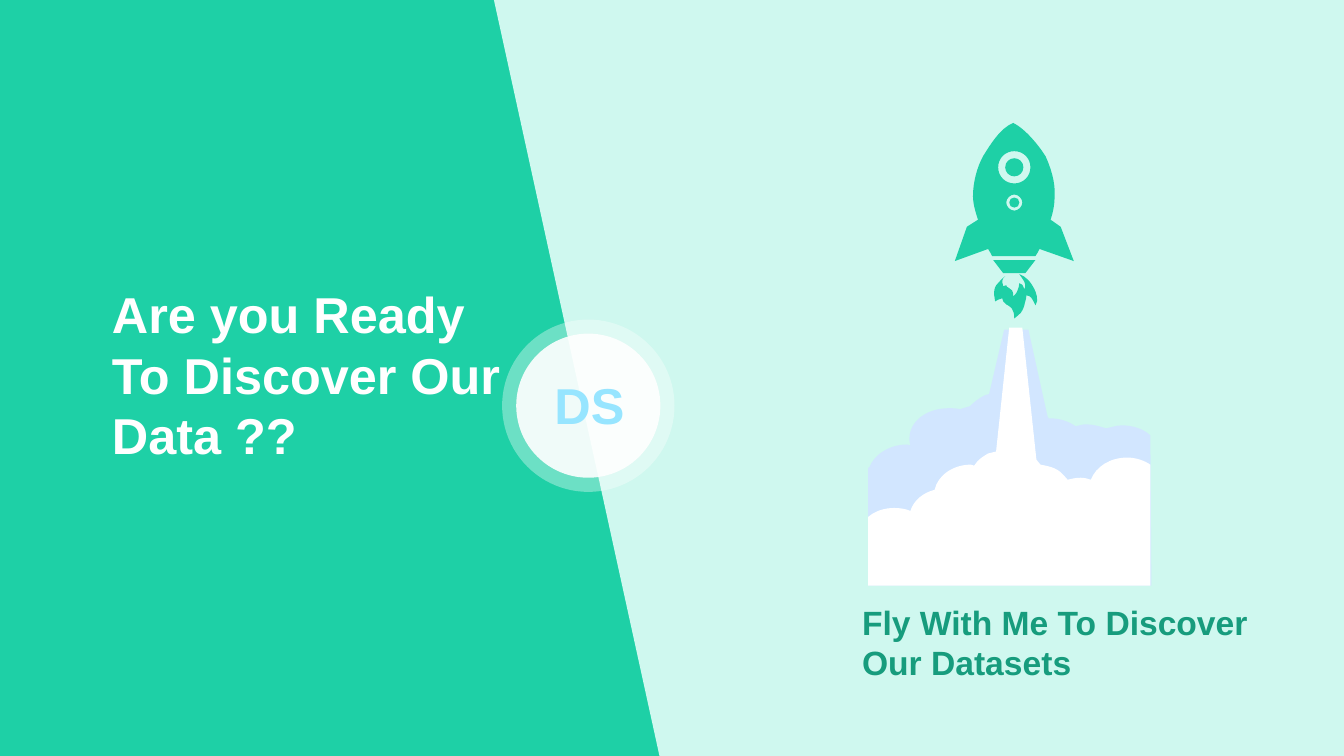
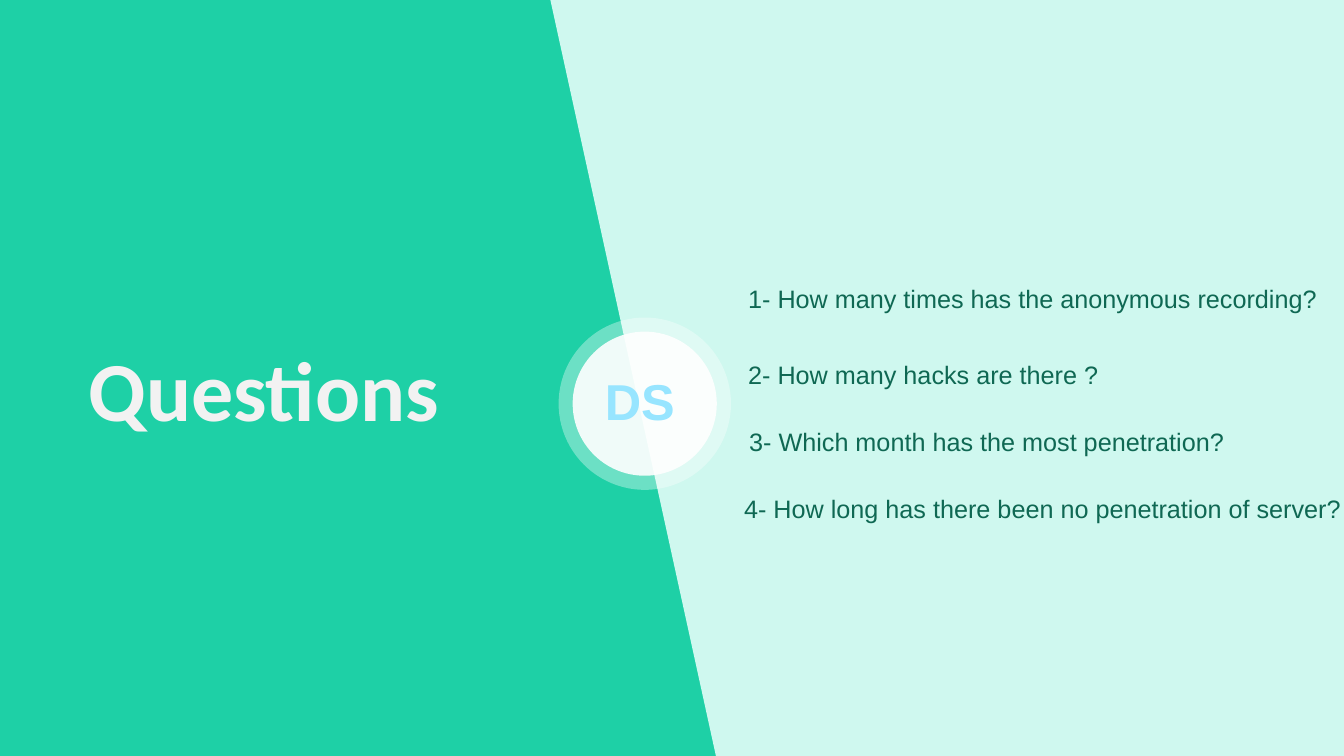
from lxml import etree
from pptx import Presentation
from pptx.dml.color import RGBColor
from pptx.enum import shapes, text
from pptx.oxml import ns
from pptx.util import Inches, Pt

GREEN = RGBColor(0x1E, 0xD0, 0xA6)
MINT = RGBColor(0xCF, 0xF8, 0xEF)
WHITE = RGBColor(0xFF, 0xFF, 0xFF)
OFF_WHITE = RGBColor(0xF2, 0xF2, 0xF2)
SKY = RGBColor(0x97, 0xE5, 0xFF)
SMOKE = RGBColor(0xD2, 0xE6, 0xFF)
TEAL = RGBColor(0x17, 0x9C, 0x7D)
DARK_TEAL = RGBColor(0x0F, 0x68, 0x53)

LEFT, CENTER = text.PP_ALIGN.LEFT, text.PP_ALIGN.CENTER
OVAL = shapes.MSO_SHAPE.OVAL
HUNDREDTH = Inches(0.01)
ARC = 0.55

BACK_CLOUD = [
    (135, 2), (159, 2), (178, 88), (179, 90), (180, 90),
    (190, 90, 199, 93, 206, 98), (209, 97, 213, 96, 216, 96),
    (223, 96, 230, 98, 236, 100), (241, 99, 246, 97, 252, 97),
    (263, 97, 274, 101, 280, 107), (281, 256), (0, 256), (0, 139), (1, 139),
    (6, 126, 21, 116, 39, 116), (40, 116, 41, 116, 42, 117),
    (41, 115, 41, 112, 41, 110), (41, 93, 58, 80, 80, 80),
    (84, 80, 88, 80, 91, 81), (101, 78), (105, 74, 110, 70, 116, 67), (120, 66),
]
FRONT_CLOUD = [
    (140, 0), (153, 0), (167, 131), (171, 136),
    (188, 139, 190, 142, 198, 151), (202, 150, 206, 149, 211, 149),
    (215, 149, 218, 150, 221, 151), (226, 138, 240, 129, 257, 129),
    (266, 129, 274, 132, 280, 136), (280, 256), (0, 256), (0, 188),
    (7, 182, 16, 179, 26, 179), (32, 179, 38, 180, 42, 182),
    (45, 172, 54, 164, 66, 161), (69, 147, 84, 136, 102, 136),
    (105, 137), (106, 136), (109, 131, 114, 128, 119, 125), (127, 123),
]
HULL = [
    (58, 0), (70, 6, 83, 22, 90, 33), (95, 44, 100, 59, 99, 73),
    (99, 79, 98, 87, 95, 96), (105, 103), (118, 137), (84, 125),
    (83, 128, 81, 130, 80, 132), (37, 132), (36, 130, 35, 128, 33, 125),
    (0, 137), (12, 103), (23, 96), (20, 87, 18, 79, 18, 73),
    (18, 59, 22, 44, 28, 33), (35, 22, 45, 5, 58, 0),
]
NOZZLE = [(38, 136), (80, 136), (70, 149), (48, 149)]
FLAME = [
    (64, 150), (70, 152, 75, 157, 79, 165), (80, 167, 84, 176, 80, 181),
    (76, 173, 76, 172, 71, 171), (71, 175, 69, 179, 69, 181),
    (66, 189, 66, 188, 59, 194), (59, 184, 55, 182, 51, 180),
    (49, 179, 47, 176, 47, 174), (45, 175, 42, 175, 40, 177),
    (40, 174, 37, 168, 41, 161), (43, 159, 46, 155, 50, 152), (48, 154),
    (46, 157, 48, 161, 48, 162), (49, 162, 50, 161, 51, 161),
    (51, 162, 52, 163, 54, 164), (56, 165, 58, 166, 58, 172),
    (62, 168, 61, 169, 63, 164), (63, 164, 64, 161, 64, 159),
    (67, 160, 67, 160, 69, 165), (71, 162, 69, 157, 68, 156),
    (67, 153, 66, 152, 64, 150),
]
QUESTIONS = [
    ("1- How many times has the anonymous recording?", 0, 0.04),
    ("2- How many hacks are there ?", 32.5, 0.04),
    ("3- Which month has the most penetration?", 26.5, 0.05),
    ("4- How long has there been no penetration of server?", 26, 0),
]


def paint(shape, color, alpha=None):
    shape.shadow.inherit = False
    shape.fill.solid()
    shape.fill.fore_color.rgb = color
    shape.line.fill.background()
    if alpha is not None:
        clr = shape.element.spPr.find(ns.qn("a:solidFill")).find(ns.qn("a:srgbClr"))
        etree.SubElement(clr, ns.qn("a:alpha"), val=str(alpha * 1000))


def add_disc(s, cx, cy, diameter, color, alpha):
    r = diameter / 2
    sp = s.shapes.add_shape(OVAL, Inches(cx - r), Inches(cy - r),
                            Inches(diameter), Inches(diameter))
    paint(sp, color, alpha)


def ring_contour(cx, cy, r):
    k = r * ARC
    return [
        (cx, cy - r),
        (cx + k, cy - r, cx + r, cy - k, cx + r, cy),
        (cx + r, cy + k, cx + k, cy + r, cx, cy + r),
        (cx - k, cy + r, cx - r, cy + k, cx - r, cy),
        (cx - r, cy - k, cx - k, cy - r, cx, cy - r),
    ]


def add_outline(s, x, y, contours, color):
    builder = s.shapes.build_freeform(*contours[0][0], scale=HUNDREDTH)
    for i, contour in enumerate(contours):
        if i:
            builder.move_to(*contour[0])
        builder.add_line_segments([step[-2:] for step in contour[1:]], close=False)
    sp = builder.convert_to_shape(Inches(x), Inches(y))
    ends = [step[-2:] for contour in contours for step in contour]
    left, top = min(e[0] for e in ends), min(e[1] for e in ends)
    steps = [step for contour in contours for step in contour[1:]]
    for segment, step in zip(list(sp.element.iter(ns.qn("a:lnTo"))), steps):
        if len(step) == 6:
            segment.tag = ns.qn("a:cubicBezTo")
            segment.remove(segment[0])
            for px, py in zip(step[::2], step[1::2]):
                etree.SubElement(segment, ns.qn("a:pt"),
                                 x=str(round(px - left)), y=str(round(py - top)))
    paint(sp, color)


def write(sp, box, lines, size, color, font="Arial", bold=True, align=LEFT):
    sp.left, sp.top, sp.width, sp.height = (Inches(v) for v in box)
    tf = sp.text_frame
    tf.text = "\n".join(lines)
    tf.word_wrap = True
    tf.auto_size = text.MSO_AUTO_SIZE.NONE
    tf.vertical_anchor = text.MSO_ANCHOR.TOP
    for p in tf.paragraphs:
        p.alignment = align
        p.space_before = Pt(0)
        for r in p.runs:
            r.font.size, r.font.name, r.font.bold = Pt(size), font, bold
            r.font.color.rgb = color
    return tf


def write_body(s, box, lines, size, color, bold):
    body = s.placeholders[1]
    s.shapes.element.append(body.element)
    tf = write(body, box, lines, size, color, bold=bold)
    for p in tf.paragraphs:
        pPr = p._p.get_or_add_pPr()
        pPr.set("marL", "0")
        pPr.set("indent", "0")
        etree.SubElement(pPr, ns.qn("a:buNone"))
    return tf


def add_panel(s, x):
    sp = s.shapes.add_shape(shapes.MSO_SHAPE.FLOWCHART_MANUAL_INPUT,
                            Inches(x), Inches(-0.37), Inches(7.7), Inches(8.43))
    sp.rotation = 270
    paint(sp, MINT)
    sp.line.color.rgb = MINT
    sp.line.width = Pt(1)


def add_badge(s, x, y, label_dx, label_dy):
    center = (x + 0.855, y + 0.855)
    add_disc(s, *center, 1.71, WHITE, 35)
    add_disc(s, *center, 1.43, WHITE, 90)
    label = s.shapes.add_textbox(0, 0, 0, 0)
    write(label, (x + label_dx, y + label_dy, 3.62, 0.71), ["DS"], 36, SKY)


def add_smoke(s, x, y):
    add_outline(s, x, y, [BACK_CLOUD], SMOKE)
    add_outline(s, x, y, [FRONT_CLOUD], WHITE)


def add_rocket(s, x, y):
    windows = [ring_contour(59, cy, r)
               for cy, r in ((79, 5), (79, 8), (44, 9), (44, 16))]
    add_outline(s, x, y, [FLAME, NOZZLE, *windows, HULL], GREEN)


def add_split_slide(prs, panel_x, badge_y, label_dx, label_dy):
    s = prs.slides.add_slide(prs.slide_layouts[1])
    add_panel(s, panel_x)
    add_badge(s, panel_x - 0.29, badge_y, label_dx, label_dy)
    return s


def add_launch_slide(prs):
    s = add_split_slide(prs, 5.27, 3.17, 0.42, 0.49)
    write(s.shapes.title, (1.01, 2.76, 4.15, 1.92),
          ["Are you Ready To Discover Our Data ??"], 36, WHITE)
    write_body(s, (8.45, 5.92, 4.03, 0.91),
               ["Fly With Me To Discover Our Datasets"], 24, TEAL, True)
    add_smoke(s, 8.61, 3.25)
    add_rocket(s, 9.47, 1.22)


def add_questions_slide(prs):
    s = add_split_slide(prs, 5.83, 3.15, 0.36, 0.47)
    write(s.shapes.title, (0.54, 3.3, 4.15, 1.11), ["Questions"], 60,
          OFF_WHITE, font="Calibri", align=CENTER)
    tf = write_body(s, (7.38, 2.76, 5.95, 2.6), [q for q, _, _ in QUESTIONS],
                    18, DARK_TEAL, False)
    tf.margin_left = tf.margin_right = 0
    for p, (_, gap, indent) in zip(tf.paragraphs, QUESTIONS):
        p.space_before = Pt(gap)
        p._p.get_or_add_pPr().set("marL", str(Inches(indent)))


def main():
    prs = Presentation()
    prs.slide_width, prs.slide_height = Inches(13.33), Inches(7.5)
    fill = prs.slide_master.background.fill
    fill.solid()
    fill.fore_color.rgb = GREEN
    add_launch_slide(prs)
    add_questions_slide(prs)
    prs.save("out.pptx")


if __name__ == "__main__":
    main()
